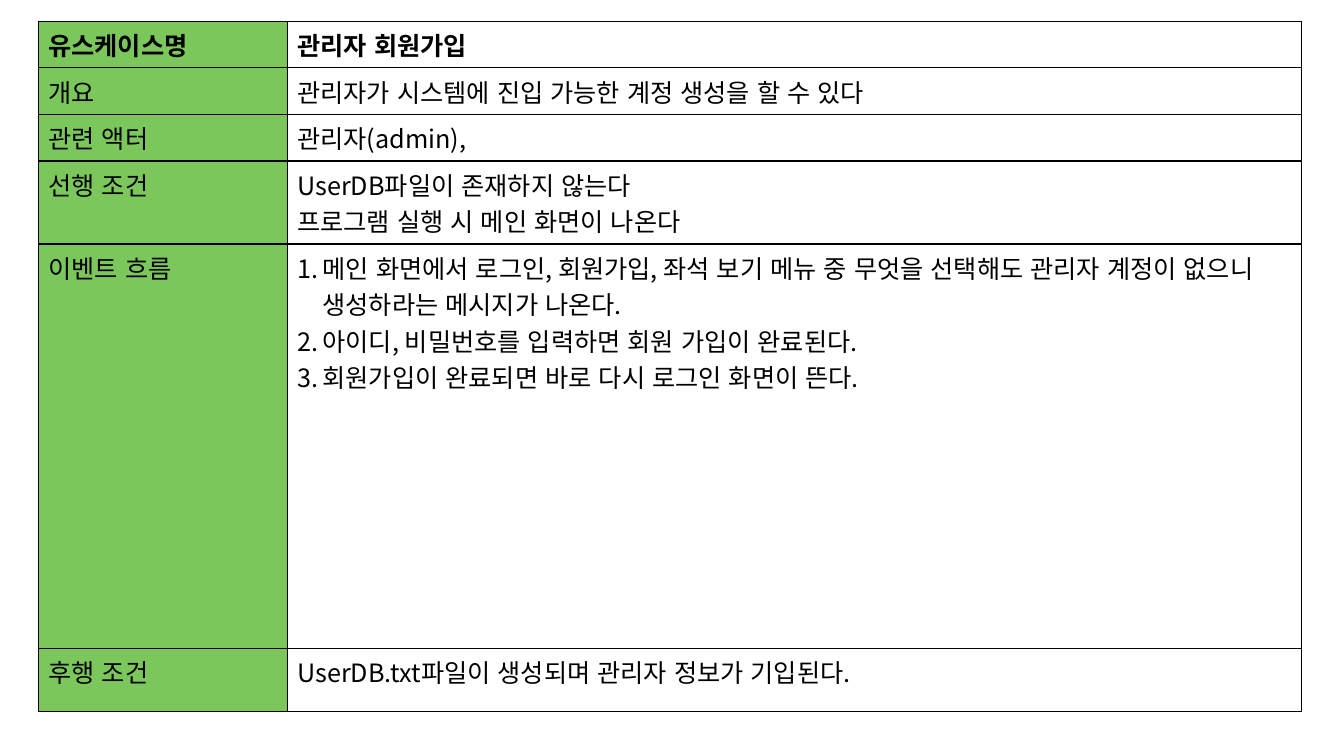
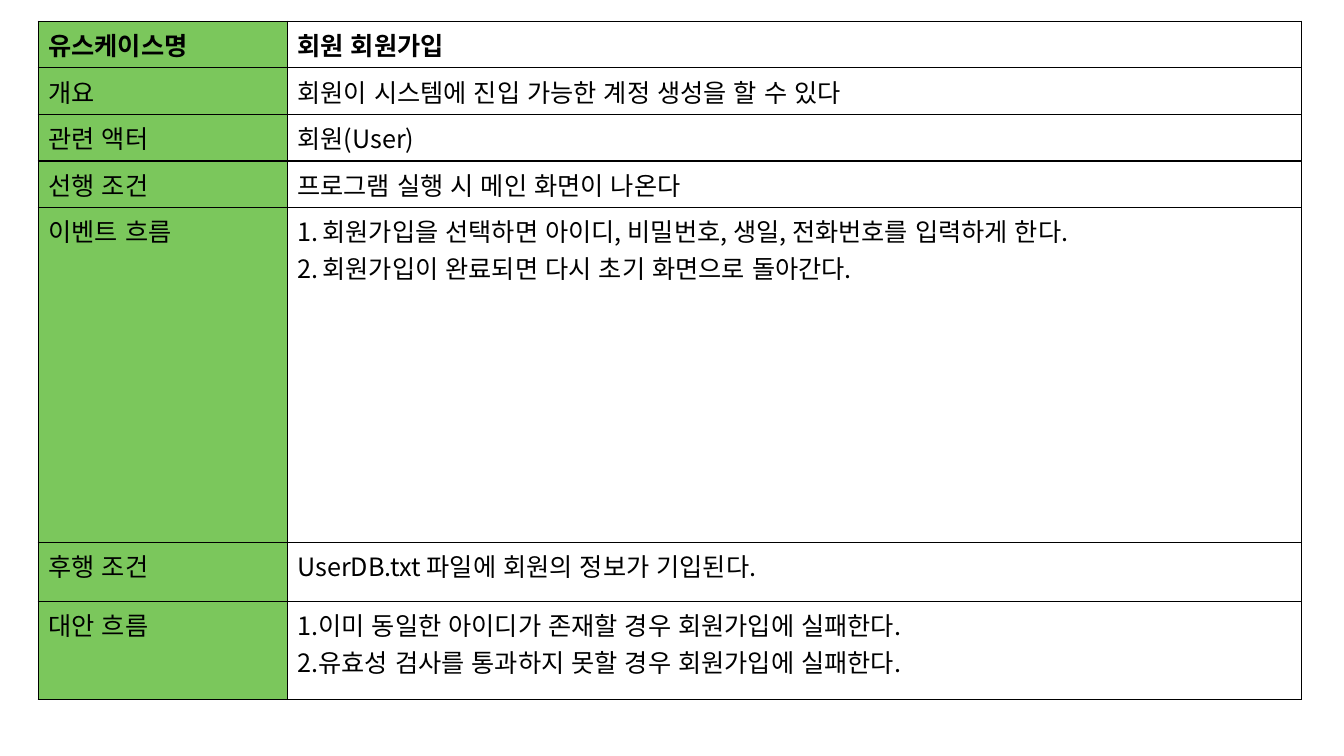
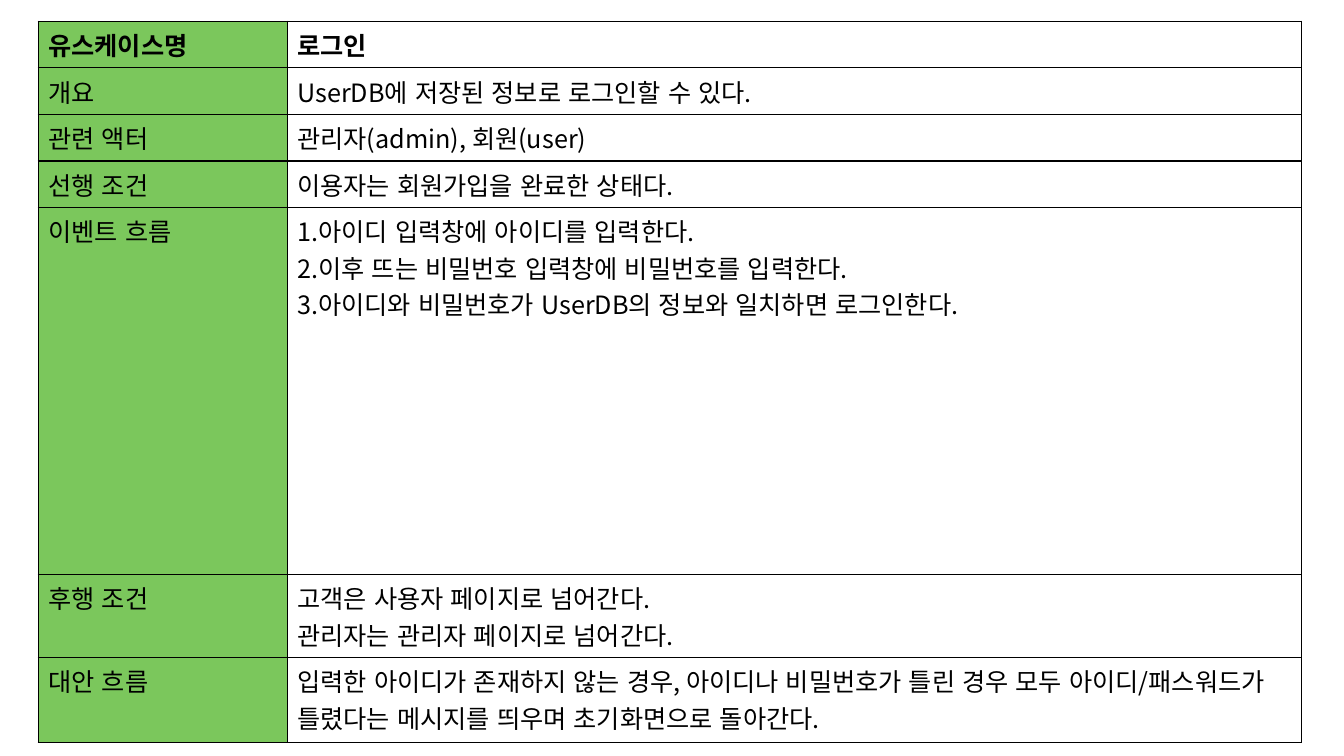
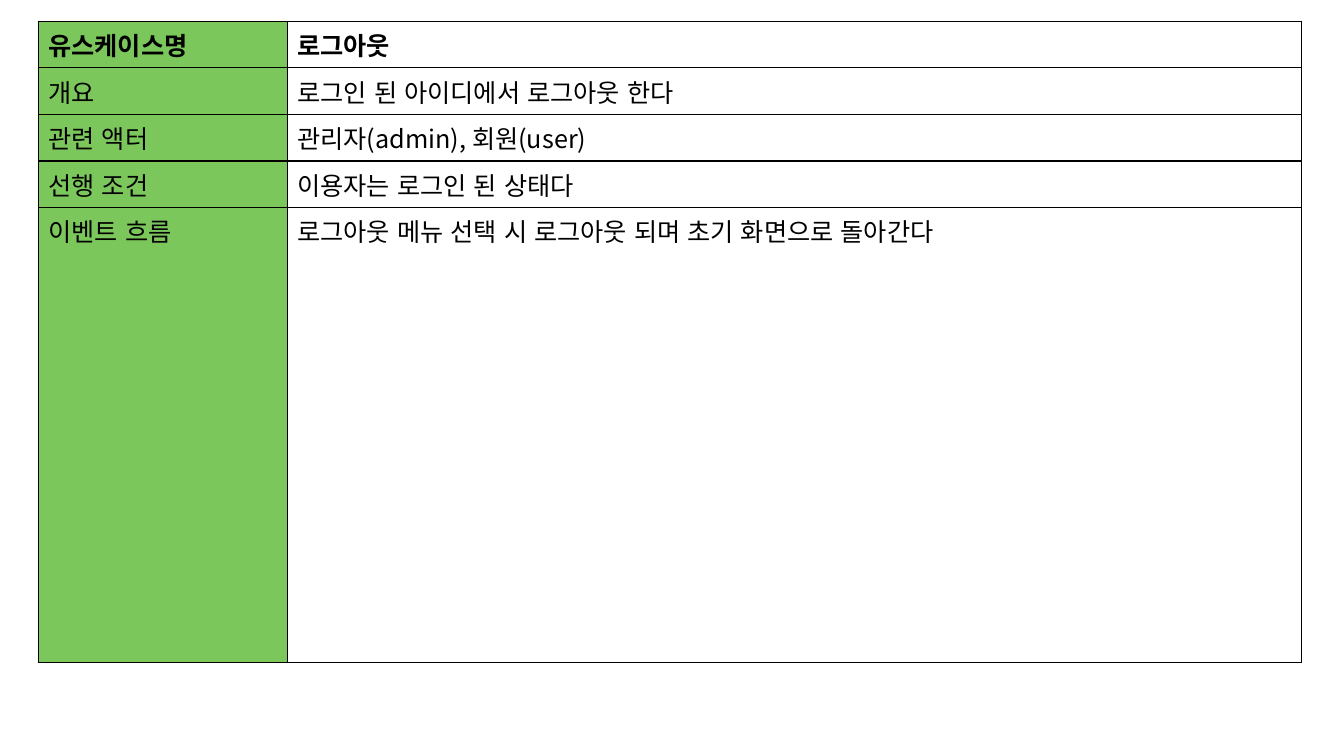
from lxml.etree import SubElement
from pptx import Presentation
from pptx.dml.color import RGBColor
from pptx.enum.lang import MSO_LANGUAGE_ID as Language
from pptx.oxml.ns import qn
from pptx.util import Inches, Pt

GREEN = RGBColor(0x7B, 0xC7, 0x5C)
BLACK = RGBColor(0, 0, 0)
FONT = "Noto Sans CJK KR"
LABELS = ["유스케이스명", "개요", "관련 액터", "선행 조건", "이벤트 흐름", "후행 조건", "대안 흐름"]
EVENT_ROW = 4
COLUMN_WIDTHS = [2.47, 10.06]

USE_CASES = [
    {
        "heights": [0.43, 0.43, 0.43, 0.76, 4.01, 0.63],
        "numbered": True,
        "contents": [
            "관리자 회원가입",
            "관리자가 시스템에 진입 가능한 계정 생성을 할 수 있다",
            "관리자(admin),",
            "UserDB파일이 존재하지 않는다\n프로그램 실행 시 메인 화면이 나온다",
            "메인 화면에서 로그인, 회원가입, 좌석 보기 메뉴 중 무엇을 선택해도 "
            "관리자 계정이 없으니 생성하라는 메시지가 나온다.\n"
            "아이디, 비밀번호를 입력하면 회원 가입이 완료된다.\n"
            "회원가입이 완료되면 바로 다시 로그인 화면이 뜬다.",
            "UserDB.txt파일이 생성되며 관리자 정보가 기입된다.",
        ],
    },
    {
        "heights": [0.29, 0.29, 0.29, 0.29, 3.32, 0.59, 0.97],
        "numbered": True,
        "contents": [
            "회원 회원가입",
            "회원이 시스템에 진입 가능한 계정 생성을 할 수 있다",
            "회원(User)",
            "프로그램 실행 시 메인 화면이 나온다",
            "회원가입을 선택하면 아이디, 비밀번호, 생일, 전화번호를 입력하게 한다.\n"
            "회원가입이 완료되면 다시 초기 화면으로 돌아간다.",
            "UserDB.txt 파일에 회원의 정보가 기입된다.",
            "1.이미 동일한 아이디가 존재할 경우 회원가입에 실패한다.\n"
            "2.유효성 검사를 통과하지 못할 경우 회원가입에 실패한다.",
        ],
    },
    {
        "heights": [0.43, 0.43, 0.43, 0.43, 3.64, 0.76, 0.84],
        "numbered": False,
        "contents": [
            "로그인",
            "UserDB에 저장된 정보로 로그인할 수 있다.",
            "관리자(admin), 회원(user)",
            "이용자는 회원가입을 완료한 상태다.",
            "1.아이디 입력창에 아이디를 입력한다.\n"
            "2.이후 뜨는 비밀번호 입력창에 비밀번호를 입력한다.\n"
            "3.아이디와 비밀번호가 UserDB의 정보와 일치하면 로그인한다.",
            "고객은 사용자 페이지로 넘어간다.\n관리자는 관리자 페이지로 넘어간다.",
            "입력한 아이디가 존재하지 않는 경우, 아이디나 비밀번호가 틀린 경우 모두 "
            "아이디/패스워드가 틀렸다는 메시지를 띄우며 초기화면으로 돌아간다.",
        ],
    },
    {
        "heights": [0.45, 0.45, 0.45, 0.45, 4.51],
        "numbered": False,
        "contents": [
            "로그아웃",
            "로그인 된 아이디에서 로그아웃 한다",
            "관리자(admin), 회원(user)",
            "이용자는 로그인 된 상태다",
            "로그아웃 메뉴 선택 시 로그아웃 되며 초기 화면으로 돌아간다",
        ],
    },
]


def add_borders(cell):
    properties = cell._tc.get_or_add_tcPr()
    for side in ("a:lnL", "a:lnR", "a:lnT", "a:lnB"):
        line = SubElement(properties, qn(side), w=str(Pt(1)))
        fill = SubElement(line, qn("a:solidFill"))
        SubElement(fill, qn("a:srgbClr"), val=str(BLACK))


def write_cell(cell, text, bold, numbered):
    cell.text_frame.text = text
    for paragraph in cell.text_frame.paragraphs:
        if numbered:
            properties = paragraph._p.get_or_add_pPr()
            properties.set("marL", str(Inches(0.25)))
            properties.set("indent", str(Inches(-0.25)))
            SubElement(properties, qn("a:buAutoNum"), type="arabicPeriod")
        for run in paragraph.runs:
            font = run.font
            font.size = Pt(18)
            font.bold = bold
            font.color.rgb = BLACK
            font.name = FONT
            font.language_id = Language.KOREAN
            SubElement(run._r.get_or_add_rPr(), qn("a:ea"), typeface=FONT)


presentation = Presentation()
presentation.slide_width = Inches(13.33)
presentation.slide_height = Inches(7.5)

for use_case in USE_CASES:
    slide = presentation.slides.add_slide(presentation.slide_layouts[6])
    heights = use_case["heights"]
    table = slide.shapes.add_table(
        len(heights), 2, Inches(0.38), Inches(0.21),
        Inches(sum(COLUMN_WIDTHS)), Inches(sum(heights))).table
    table.first_row = False
    table.horz_banding = False
    for column, width in zip(table.columns, COLUMN_WIDTHS):
        column.width = Inches(width)
    for row, (height, label, content) in enumerate(zip(heights, LABELS, use_case["contents"])):
        table.rows[row].height = Inches(height)
        label_cell, content_cell = table.cell(row, 0), table.cell(row, 1)
        add_borders(label_cell)
        add_borders(content_cell)
        label_cell.fill.solid()
        label_cell.fill.fore_color.rgb = GREEN
        content_cell.fill.background()
        write_cell(label_cell, label, row == 0, False)
        write_cell(content_cell, content, row == 0, use_case["numbered"] and row == EVENT_ROW)

presentation.save("out.pptx")
